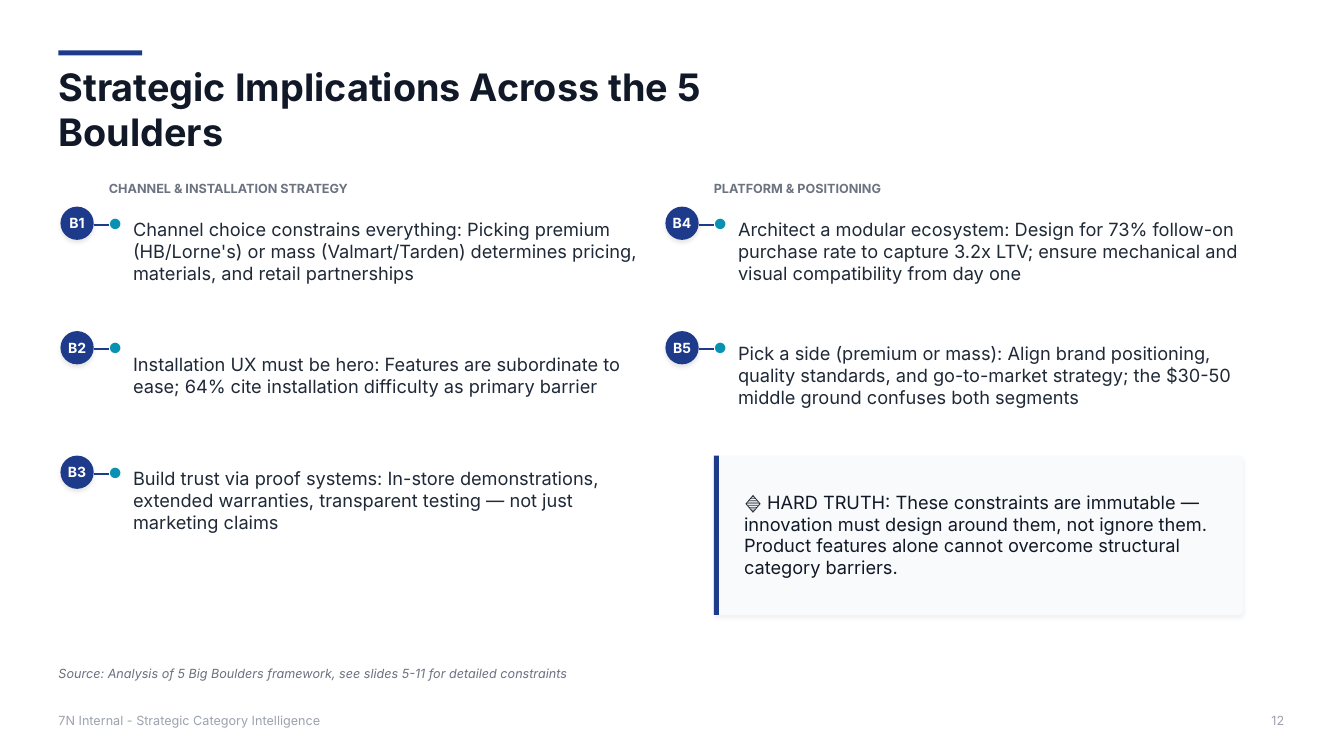
from lxml import etree
from pptx import Presentation
from pptx.dml.color import RGBColor
from pptx.enum.shapes import MSO_CONNECTOR, MSO_SHAPE
from pptx.enum.text import MSO_ANCHOR, PP_ALIGN
from pptx.oxml.ns import qn
from pptx.util import Inches, Pt

RECT = MSO_SHAPE.RECTANGLE
ROUNDED = MSO_SHAPE.ROUNDED_RECTANGLE
OVAL = MSO_SHAPE.OVAL
STRAIGHT = MSO_CONNECTOR.STRAIGHT
MIDDLE = MSO_ANCHOR.MIDDLE
LEFT, CENTER = PP_ALIGN.LEFT, PP_ALIGN.CENTER

NAVY, TEAL, WHITE = "1E3A8A", "0891B2", "FFFFFF"
INK, BODY, MUTED, PALE = "111827", "1F2937", "6B7280", "9CA3AF"
PANEL = "F9FAFB"

TITLE_STYLE = {"size": Pt(27), "bold": True}
HEADING_STYLE = {"size": Pt(9), "bold": True}
BADGE_STYLE = {"size": Pt(10), "bold": True}
DOT_STYLE = {"size": Pt(10)}
BODY_STYLE = {"size": Pt(13)}
SOURCE_STYLE = {"size": Pt(9), "italic": True}
FOOTER_STYLE = {"size": Pt(9)}

prs = Presentation()
prs.slide_width, prs.slide_height = Inches(13.33), Inches(7.5)
slide = prs.slides.add_slide(prs.slide_layouts[6])
slide.background.fill.solid()
slide.background.fill.fore_color.rgb = RGBColor.from_string(WHITE)


def add_block(kind, box, color, shadow_opacity=0):
    """Add a borderless filled shape; shadow_opacity is a percentage."""
    block = slide.shapes.add_shape(kind, *map(Inches, box))
    block.fill.solid()
    block.fill.fore_color.rgb = RGBColor.from_string(color)
    block.line.fill.background()
    block.shadow.inherit = False
    if shadow_opacity:
        effects = block._element.spPr.find(qn("a:effectLst"))
        shadow = etree.SubElement(effects, qn("a:outerShdw"), blurRad=str(Pt(3)),
                                  dist=str(Pt(2)), dir="5400000", rotWithShape="0")
        black = etree.SubElement(shadow, qn("a:srgbClr"), val="000000")
        etree.SubElement(black, qn("a:alpha"), val=str(shadow_opacity * 1000))
    return block


def write_text(holder, text, color, style, align=LEFT):
    frame = holder.text_frame
    frame_format = {"word_wrap": True, "vertical_anchor": MIDDLE, "margin_left": 0,
                    "margin_right": 0, "margin_top": 0, "margin_bottom": 0}
    for name, value in frame_format.items():
        setattr(frame, name, value)
    paragraph = frame.paragraphs[0]
    paragraph.alignment = align
    run = paragraph.add_run()
    run.text = text
    for name, value in {"name": "Inter", **style}.items():
        setattr(run.font, name, value)
    run.font.color.rgb = RGBColor.from_string(color)


add_block(RECT, (0.58, 0.5, 0.83, 0.05), NAVY)

# Callout panel with its accent bar
add_block(ROUNDED, (7.08, 4.52, 5.25, 1.58), PANEL, 5).adjustments[0] = 0.025
add_block(RECT, (7.08, 4.52, 0.05, 1.58), NAVY)

texts = [
    ((0.58, 0.85, 8.05, 0.46), "Strategic Implications Across the 5 Boulders", INK, TITLE_STYLE),
    ((7.38, 4.76, 4.69, 1.09),
     "🔷 HARD TRUTH: These constraints are immutable — innovation must design around them, "
     "not ignore them. Product features alone cannot overcome structural category barriers.",
     INK, BODY_STYLE),
    ((0.58, 6.6, 5.55, 0.17),
     "Source: Analysis of 5 Big Boulders framework, see slides 5-11 for detailed constraints",
     MUTED, SOURCE_STYLE),
    ((0.58, 7.06, 2.95, 0.17), "7N Internal - Strategic Category Intelligence", PALE, FOOTER_STYLE),
    ((12.61, 7.06, 0.25, 0.17), "12", PALE, FOOTER_STYLE),
]

# Two columns of numbered implications
columns = [
    ("CHANNEL & INSTALLATION STRATEGY", [
        ("B1", "Channel choice constrains everything: Picking premium (HB/Lorne's) or mass "
               "(Valmart/Tarden) determines pricing, materials, and retail partnerships"),
        ("B2", "Installation UX must be hero: Features are subordinate to ease; 64% cite "
               "installation difficulty as primary barrier"),
        ("B3", "Build trust via proof systems: In-store demonstrations, extended warranties, "
               "transparent testing — not just marketing claims"),
    ]),
    ("PLATFORM & POSITIONING", [
        ("B4", "Architect a modular ecosystem: Design for 73% follow-on purchase rate to capture "
               "3.2x LTV; ensure mechanical and visual compatibility from day one"),
        ("B5", "Pick a side (premium or mass): Align brand positioning, quality standards, and "
               "go-to-market strategy; the $30-50 middle ground confuses both segments"),
    ]),
]
COLUMN_PITCH, ROW_PITCH = 6, 1.235
FIRST_LEFT, FIRST_TOP, BADGE_SIZE = 0.6, 2.05, 0.33

for column, (heading, implications) in enumerate(columns):
    left = FIRST_LEFT + column * COLUMN_PITCH
    texts.append(((left + 0.48, 1.79, 3, 0.16), heading, MUTED, HEADING_STYLE))
    for row, (code, implication) in enumerate(implications):
        top = FIRST_TOP + row * ROW_PITCH
        badge = add_block(OVAL, (left, top, BADGE_SIZE, BADGE_SIZE), NAVY, 10)
        write_text(badge, code, WHITE, BADGE_STYLE, CENTER)

        link_y = Inches(top + 0.18)
        link = slide.shapes.add_connector(STRAIGHT, Inches(left + BADGE_SIZE), link_y,
                                          Inches(left + 0.48), link_y)
        link.line.width = Pt(1.5)
        link.line.color.rgb = RGBColor.from_string(NAVY)
        etree.SubElement(link._element.spPr, qn("a:effectLst"))

        texts.append(((left + 0.48, top + 0.08, 0.2, 0.18), "●", TEAL, DOT_STYLE))
        texts.append(((left + 0.72, top + 0.03, 5.05, 0.82), implication, BODY, BODY_STYLE))

for box, text, color, style in texts:
    write_text(slide.shapes.add_textbox(*map(Inches, box)), text, color, style)

prs.save("out.pptx")
